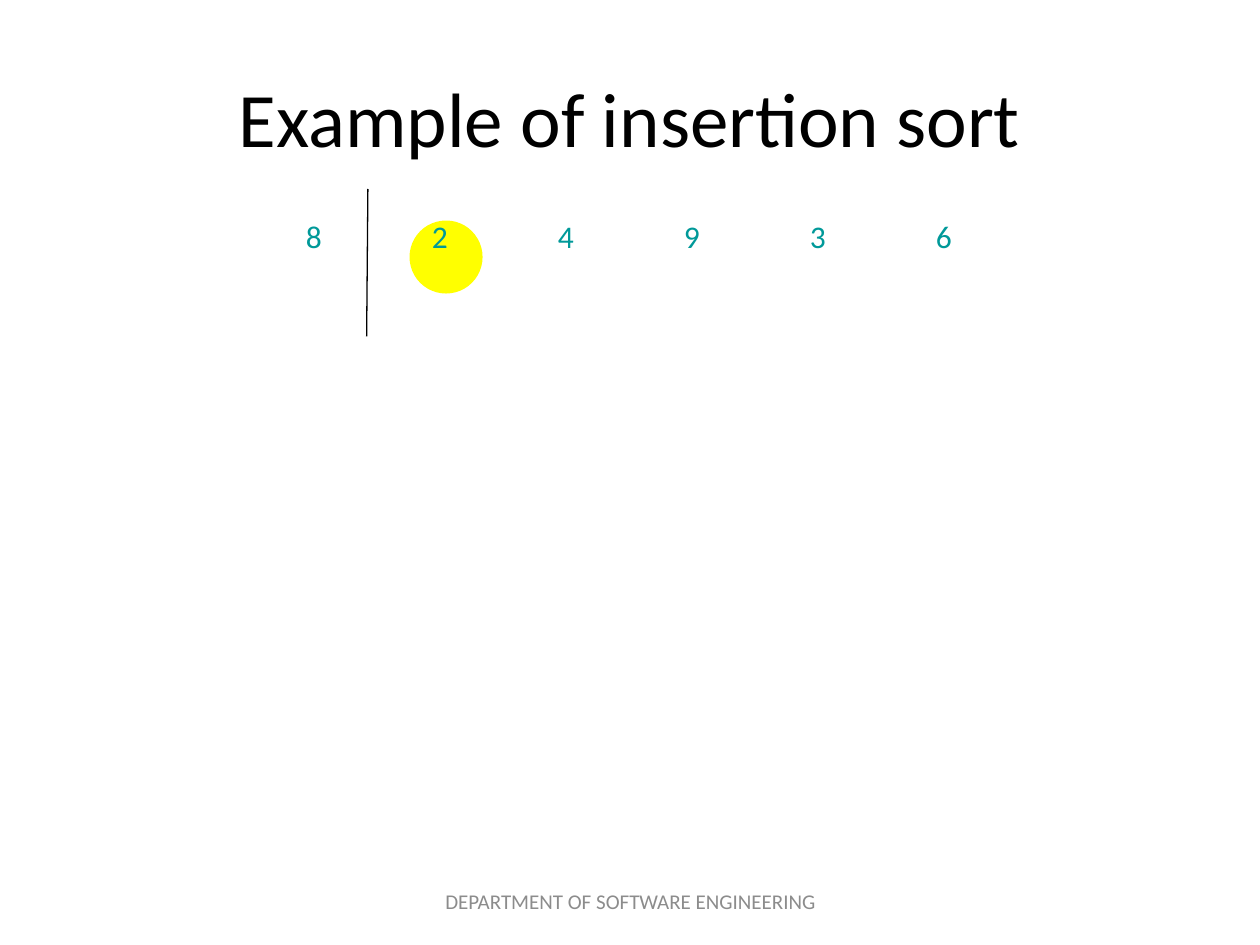
from pptx import Presentation
from pptx.dml.color import RGBColor
from pptx.enum.shapes import MSO_CONNECTOR, MSO_SHAPE
from pptx.enum.text import MSO_ANCHOR, MSO_AUTO_SIZE, PP_ALIGN
from pptx.oxml.ns import qn
from pptx.util import Inches, Pt
from lxml.etree import SubElement

COLORS = {"title": "000000", "number": "009999", "highlight": "FFFF00",
          "divider": "000000", "footer": "8C8C8C"}
FONT = "Calibri"


def color(name):
    return RGBColor.from_string(COLORS[name])


def write(frame, text, size, ink, align=PP_ALIGN.LEFT, anchor=MSO_ANCHOR.TOP,
          wrap=True, fit=MSO_AUTO_SIZE.NONE):
    frame.word_wrap = wrap
    frame.auto_size = fit
    frame.vertical_anchor = anchor
    paragraph = frame.paragraphs[0]
    paragraph.alignment = align
    run = paragraph.add_run()
    run.text = text
    run.font.name = FONT
    run.font.size = Pt(size)
    run.font.color.rgb = color(ink)


class SortSlide:
    def __init__(self, deck):
        self.slide = deck.slides.add_slide(deck.slide_layouts[5])

    def title(self, text, left, top, width, height):
        heading = self.slide.shapes.title
        heading.left, heading.top = Inches(left), Inches(top)
        heading.width, heading.height = Inches(width), Inches(height)
        write(heading.text_frame, text, 44, "title",
              align=PP_ALIGN.CENTER, anchor=MSO_ANCHOR.MIDDLE)

    def label(self, text, left, top, width, height, **style):
        box = self.slide.shapes.add_textbox(
            Inches(left), Inches(top), Inches(width), Inches(height))
        write(box.text_frame, text, **style)

    def circle(self, left, top, diameter, fill):
        disc = self.slide.shapes.add_shape(
            MSO_SHAPE.OVAL, Inches(left), Inches(top),
            Inches(diameter), Inches(diameter))
        disc.shadow.inherit = False
        disc.fill.solid()
        disc.fill.fore_color.rgb = color(fill)
        disc.line.fill.background()

    def line(self, x1, y1, x2, y2, ink, weight):
        rule = self.slide.shapes.add_connector(
            MSO_CONNECTOR.STRAIGHT, Inches(x1), Inches(y1),
            Inches(x2), Inches(y2))
        rule.line.color.rgb = color(ink)
        rule.line.width = Pt(weight)
        SubElement(rule._element.spPr, qn("a:effectLst"))


def main():
    deck = Presentation()
    deck.slide_width, deck.slide_height = Inches(10), Inches(7.5)
    page = SortSlide(deck)

    page.title("Example of insertion sort", 0.5, 0.3, 9, 1.25)

    # Next number to insert
    page.circle(3.25, 1.75, 0.58, "highlight")

    # Numbers, one inch apart
    for column, number in enumerate([8, 2, 4, 9, 3, 6]):
        page.label(str(number), 2.33 + column, 1.67, 0.42, 0.63,
                   size=18, ink="number", wrap=False,
                   fit=MSO_AUTO_SIZE.SHAPE_TO_FIT_TEXT)

    # Divider between sorted and unsorted parts
    page.line(2.92, 1.5, 2.91, 2.67, "divider", 0.75)

    # Footer
    page.label("DEPARTMENT OF SOFTWARE ENGINEERING", 3.42, 6.95, 3.17, 0.4,
               size=12, ink="footer", align=PP_ALIGN.CENTER,
               anchor=MSO_ANCHOR.MIDDLE)

    deck.save("out.pptx")


if __name__ == "__main__":
    main()
